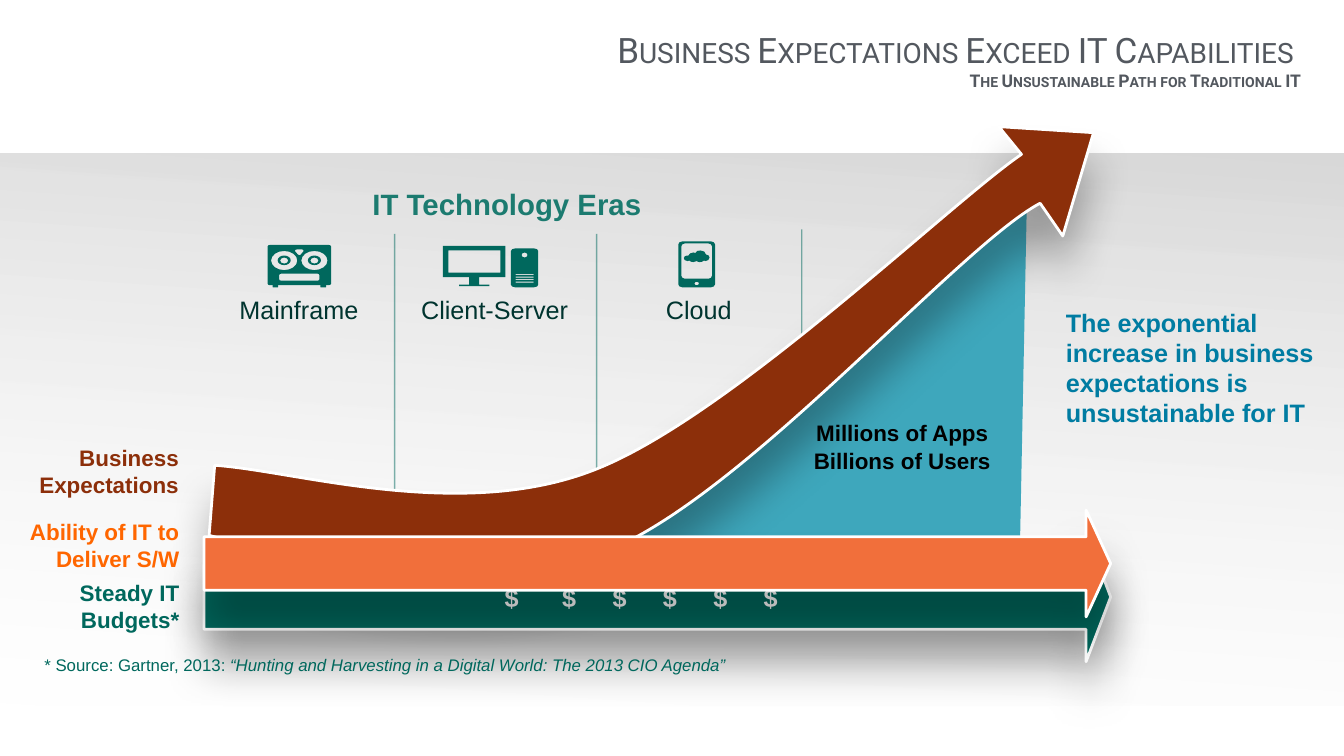
from math import cos, sin, radians
from lxml.etree import SubElement
from pptx import Presentation
from pptx.dml.color import RGBColor as Rgb
from pptx.enum.shapes import MSO_CONNECTOR as Link, MSO_SHAPE as Kind
from pptx.enum.text import MSO_ANCHOR as Anchor, MSO_AUTO_SIZE as Auto, PP_ALIGN as Align
from pptx.oxml.ns import qn
from pptx.util import Cm, Pt

INCH = 2.54
HUES = {
    "pale": "F2F2F2", "grey": "D9D9D9", "teal": "00685D", "ink": "00342F",
    "green": "1C7B70", "sea": "3EA7BC", "rust": "8C2F0A", "peach": "F16F3B",
    "orange": "FF6600", "blue": "007CA2", "black": "000000", "white": "FFFFFF",
    "slate": "53585F",
}
PAINT = {name: Rgb.from_string(hue) for name, hue in HUES.items()}


def ring(x, y, wide, high, rx=0, ry=0):
    r, b = x + wide, y + high
    if not rx:
        return [(x, y), (r, y), (r, b), (x, b)]
    kx, ky = 0.45 * rx, 0.45 * ry
    return [(x + rx, y), (r - rx, y), (r - kx, y, r, y + ky, r, y + ry),
            (r, b - ry), (r, b - ky, r - kx, b, r - rx, b),
            (x + rx, b), (x + kx, b, x, b - ky, x, b - ry),
            (x, y + ry), (x, y + ky, x + kx, y, x + rx, y)]


def oval(x, y, wide, high):
    steps = ring(x, y, wide, high, wide / 2, high / 2)
    return steps[:1] + [step for step in steps if len(step) == 6]


deck = Presentation()
deck.slide_width, deck.slide_height = Cm(26.67 * INCH), Cm(15 * INCH)
slide = deck.slides.add_slide(deck.slide_layouts[6])
shapes = slide.shapes

back = shapes.add_shape(Kind.RECTANGLE, 0, Cm(3.04 * INCH), deck.slide_width, Cm(10.96 * INCH))
back.shadow.inherit = False
back.line.fill.background()
back.fill.gradient()
back.fill.gradient_angle = 86
for stop, hue in zip(back.fill.gradient_stops, ["pale", "grey"]):
    stop.color.rgb = PAINT[hue]
SubElement(back.element.spPr.find(".//" + qn("a:srgbClr")), qn("a:alpha"), val="0")

for x, top, end in [(15.91, 4.55, 11.44), (11.84, 4.64, 11.52), (7.83, 4.64, 11.52)]:
    rule = shapes.add_connector(Link.STRAIGHT, *[Cm(v * INCH) for v in (x, top, x, end)])
    rule.line.width = Pt(2)
    rule.line.color.rgb = PAINT["teal"]
    prop = rule.element.spPr
    SubElement(prop.find(".//" + qn("a:srgbClr")), qn("a:alpha"), val="50000")
    SubElement(prop, qn("a:effectLst"))

area = [(12.61, 9.72), (12.61, 12.12), (19.86, 11.35), (20.23, 11.34), (20.39, 3.35),
        (19.84, 4.33), (19.21, 5.17), (18.24, 5.97), (16.84, 7.03), (15.98, 7.58),
        (14.08, 8.44), (12.91, 8.95)]
swoop = [(19.82, 2.51), (21.7, 2.63), (21.09, 4.68), (20.64, 4.03),
         (19.02, 4.89, 14.79, 9.83, 12.04, 10.93), (9.29, 12.03, 5.96, 11.1, 4.15, 10.62),
         (4.26, 9.23), (5.83, 9.33, 9.11, 10.36, 11.77, 9.33),
         (14.44, 8.31, 18.81, 4.06, 20.27, 3.06)]
tilt, midx, midy = radians(31), 13.2, 7.09
flat = []
for step in swoop:
    turned = []
    for x, y in zip(step[::2], step[1::2]):
        dx, dy = x - midx, y - midy
        turned += [midx + dx * cos(tilt) - dy * sin(tilt), midy + dx * sin(tilt) + dy * cos(tilt)]
    flat.append(turned)
cloud = [(13.9, 4.97), (13.85, 4.96, 13.81, 4.99, 13.8, 5.02),
         (13.78, 5.02, 13.77, 5.01, 13.76, 5.01), (13.71, 5.01, 13.67, 5.04, 13.66, 5.07),
         (13.66, 5.07, 13.65, 5.07, 13.64, 5.07), (13.6, 5.07, 13.57, 5.09, 13.57, 5.12),
         (13.56, 5.15, 13.6, 5.18, 13.64, 5.18), (13.65, 5.18, 13.67, 5.18, 13.68, 5.17),
         (13.69, 5.19, 13.72, 5.2, 13.76, 5.2), (13.79, 5.2, 13.81, 5.19, 13.83, 5.18),
         (13.84, 5.2, 13.87, 5.2, 13.89, 5.2), (13.92, 5.2, 13.95, 5.19, 13.97, 5.17),
         (13.98, 5.18, 13.99, 5.18, 14, 5.18), (14.04, 5.18, 14.08, 5.15, 14.08, 5.11),
         (14.08, 5.08, 14.05, 5.05, 14.01, 5.05), (14, 5, 13.96, 4.97, 13.9, 4.97)]
tablet = [ring(13.46, 4.79, 0.73, 0.91, 0.08, 0.06), oval(13.78, 5.59, 0.09, 0.07),
          ring(13.52, 4.83, 0.61, 0.7, 0.07, 0.06)]
screen = [[(8.79, 5.5), (9.31, 5.5), (9.31, 5.65), (9.11, 5.65), (9.11, 5.68), (9.71, 5.68),
           (9.71, 5.65), (9.51, 5.65), (9.51, 5.5), (10.03, 5.5), (10.03, 4.88), (8.79, 4.88)],
          ring(8.9, 4.97, 1.03, 0.44)]
tower = [ring(10.14, 4.93, 0.54, 0.77, 0.08, 0.05), oval(10.35, 5.01, 0.12, 0.1)]
tower += [ring(10.23, top, 0.36, 0.02) for top in (5.59, 5.54, 5.49, 5.44)]
eyes = [5.98, 5.38]
frame = [ring(5.31, 4.86, 1.26, 0.8, 0.05, 0.03), ring(5.54, 5.43, 0.8, 0.14, 0.04, 0.03),
         [(5.89, 4.95), (5.99, 4.95), (6.02, 4.95, 6.04, 4.96, 6.02, 4.99), (5.97, 5.05),
          (5.95, 5.07, 5.93, 5.07, 5.91, 5.05), (5.86, 4.99), (5.84, 4.96, 5.86, 4.95, 5.89, 4.95)]]
frame += [oval(x, 4.98, 0.52, 0.38) for x in eyes]
reels = [[oval(x + 0.13, 5.07, 0.26, 0.19), oval(x + 0.18, 5.11, 0.16, 0.12)] for x in eyes]

solid = []
for hue, box, loops in [
    ("teal", (13.46, 4.79, 0.73, 0.91), tablet), ("teal", (13.57, 4.97, 0.52, 0.24), [cloud]),
    ("sea", (12.61, 3.35, 7.78, 8.77), [area]), ("rust", (3.62, 4.32, 19.17, 5.54), [flat]),
    ("teal", (8.79, 4.88, 1.24, 0.8), screen), ("teal", (10.14, 4.93, 0.54, 0.77), tower),
    ("teal", (6.11, 5.07, 0.26, 0.19), reels[0]), ("teal", (5.51, 5.07, 0.26, 0.19), reels[1]),
    ("teal", (5.31, 4.86, 1.26, 0.8), frame),
]:
    dots = [(Cm(x * INCH), Cm(y * INCH)) for x, y in ring(*box)]
    pen = shapes.build_freeform(*dots[0], scale=1.0)
    pen.add_line_segments(dots[1:])
    form = pen.convert_to_shape()
    trace = form.element.find(".//" + qn("a:path"))
    for old in list(trace):
        trace.remove(old)
    for loop in loops:
        for n, step in enumerate(loop):
            tag = "a:cubicBezTo" if len(step) == 6 else "a:lnTo" if n else "a:moveTo"
            leg = SubElement(trace, qn(tag))
            for x, y in zip(step[::2], step[1::2]):
                SubElement(leg, qn("a:pt"), x=str(Cm((x - box[0]) * INCH)),
                           y=str(Cm((y - box[1]) * INCH)))
        SubElement(trace, qn("a:close"))
    solid.append((form, hue))
    if hue == "rust":
        form.rotation = 329
        edged = [form]

for x in [5.41, 6.36]:
    foot = shapes.add_shape(Kind.ROUNDED_RECTANGLE, *[Cm(v * INCH) for v in (x, 5.61, 0.11, 0.09)])
    foot.adjustments[0] = 0.06
    solid.append((foot, "teal"))

for hue, top, high, head in [("teal", 10.56, 2.57, 0.19), ("peach", 10.12, 2.12, 0.23)]:
    bar = shapes.add_shape(Kind.RIGHT_ARROW, *[Cm(v * INCH) for v in (4.05, top, 17.99, high)])
    bar.adjustments[0], bar.adjustments[1] = 0.5, head
    solid.append((bar, hue))
    edged.append(bar)

for form, hue in solid:
    form.shadow.inherit = False
    form.fill.solid()
    form.fill.fore_color.rgb = PAINT[hue]
    if form not in edged:
        form.line.fill.background()
        continue
    form.line.color.rgb = PAINT["white"]
    form.line.width = Pt(4)
    glow = SubElement(form.element.spPr.find(qn("a:effectLst")), qn("a:outerShdw"),
                      blurRad=str(Pt(61)), dist=str(Pt(50)), dir="5400000", rotWithShape="0")
    tone = SubElement(glow, qn("a:srgbClr"), val=HUES["black"])
    SubElement(tone, qn("a:alpha"), val="31000")

L, C, R = Align.LEFT, Align.CENTER, Align.RIGHT
era = dict(size=Pt(36))
bold = dict(size=Pt(32), bold=True)
cite = "* Source: Gartner, 2013: |“Hunting and Harvesting in a Digital World: The 2013 CIO Agenda”"
for text, place, inset, align, hue, style, flags in [
    ("Cloud", (11.82, 5.83, 4.09, 0.57), 0, C, "ink", era, "top wrap"),
    ("IT Technology Eras", (4.06, 3.57, 12, 0.91), 0.13, C, "green",
     dict(size=Pt(42), bold=True), "top wrap"),
    ("Mainframe", (4.07, 5.83, 3.72, 0.57), 0, C, "ink", era, "top wrap"),
    ("Client-Server", (7.81, 5.83, 4.01, 0.57), 0, C, "ink", era, "top wrap"),
    ("The exponential increase in business expectations is unsustainable for IT",
     (21.15, 6.13, 5.05, 2.32), 0, L, "blue", dict(size=Pt(36), bold=True), "wrap"),
    ("Millions of Apps\nBillions of Users", (15.83, 8.19, 4.15, 1.29), 0.1, C, "black", bold,
     "top wrap tight"),
    (cite, (0.75, 12.87, 13.79, 0.64), 0.13, L, "teal", dict(size=Pt(24)), "top"),
    ("$\t $\t $\t $\t $\t $", (10.01, 11.56, 5.43, 0.57), 0, C, "white",
     dict(size=Pt(36), bold=True), "tabs"),
    ("Ability of IT to Deliver S/W", (0, 10.31, 3.56, 1.01), 0, R, "orange", bold, "wrap"),
    ("Steady IT Budgets*", (0.79, 11.52, 2.77, 1.01), 0, R, "teal", bold, "wrap"),
    ("Business Expectations", (0.54, 8.84, 3.01, 1.01), 0, R, "rust", bold, "wrap"),
    ("Business Expectations Exceed IT Capabilities", (12.19, 0.51, 14.23, 0.94), 0.06, L, "slate",
     dict(size=Pt(50), name="Roboto"), "wrap caps"),
    ("The Unsustainable Path for Traditional IT", (19.18, 1.33, 7.21, 0.53), 0.06, L, "slate",
     dict(size=Pt(25), name="Roboto", bold=True), "top wrap caps"),
]:
    body = shapes.add_textbox(*[Cm(v * INCH) for v in place]).text_frame
    look = dict(word_wrap="wrap" in flags, auto_size=Auto.SHAPE_TO_FIT_TEXT,
                vertical_anchor=Anchor.TOP if "top" in flags else Anchor.MIDDLE)
    look |= {"margin_" + side: Cm(inset * INCH) for side in ("left", "top", "right", "bottom")}
    for key, val in look.items():
        setattr(body, key, val)
    for row, words in enumerate(text.split("\n")):
        para = body.add_paragraph() if row else body.paragraphs[0]
        para.alignment = align
        if "tight" in flags:
            para.line_spacing = Pt(40)
        if "tabs" in flags:
            tabs = SubElement(para._p.get_or_add_pPr(), qn("a:tabLst"))
            for n in range(1, 6):
                SubElement(tabs, qn("a:tab"), pos=str(Cm(n * INCH)), algn="l")
        for part, piece in enumerate(words.split("|")):
            run = para.add_run()
            run.text = piece
            for key, val in (dict(name="Arial") | style).items():
                setattr(run.font, key, val)
            run.font.color.rgb = PAINT[hue]
            if part:
                run.font.italic = True
            if "caps" in flags:
                run._r.get_or_add_rPr().set("cap", "small")

shapes._spTree.append(bar.element)
deck.save("out.pptx")
